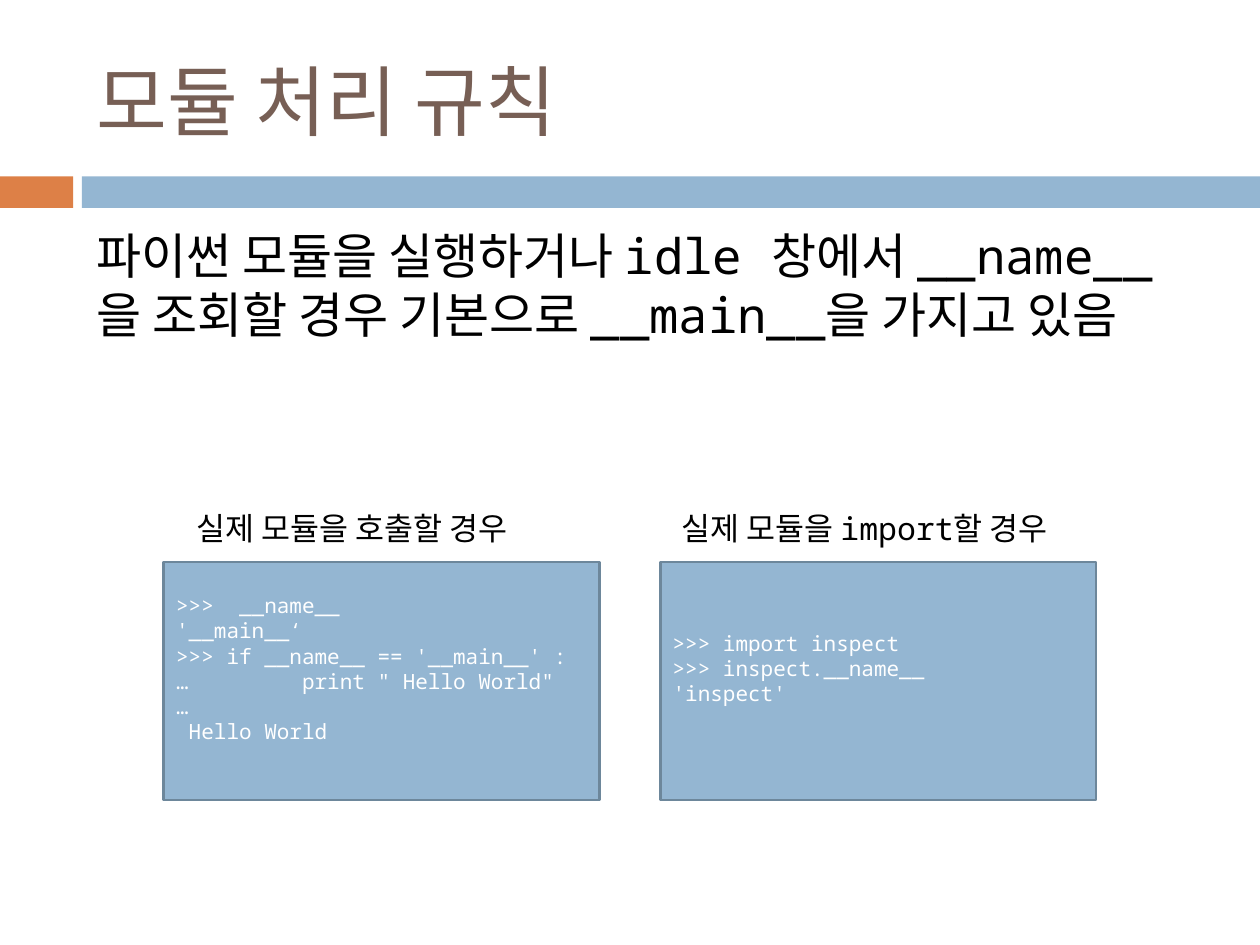
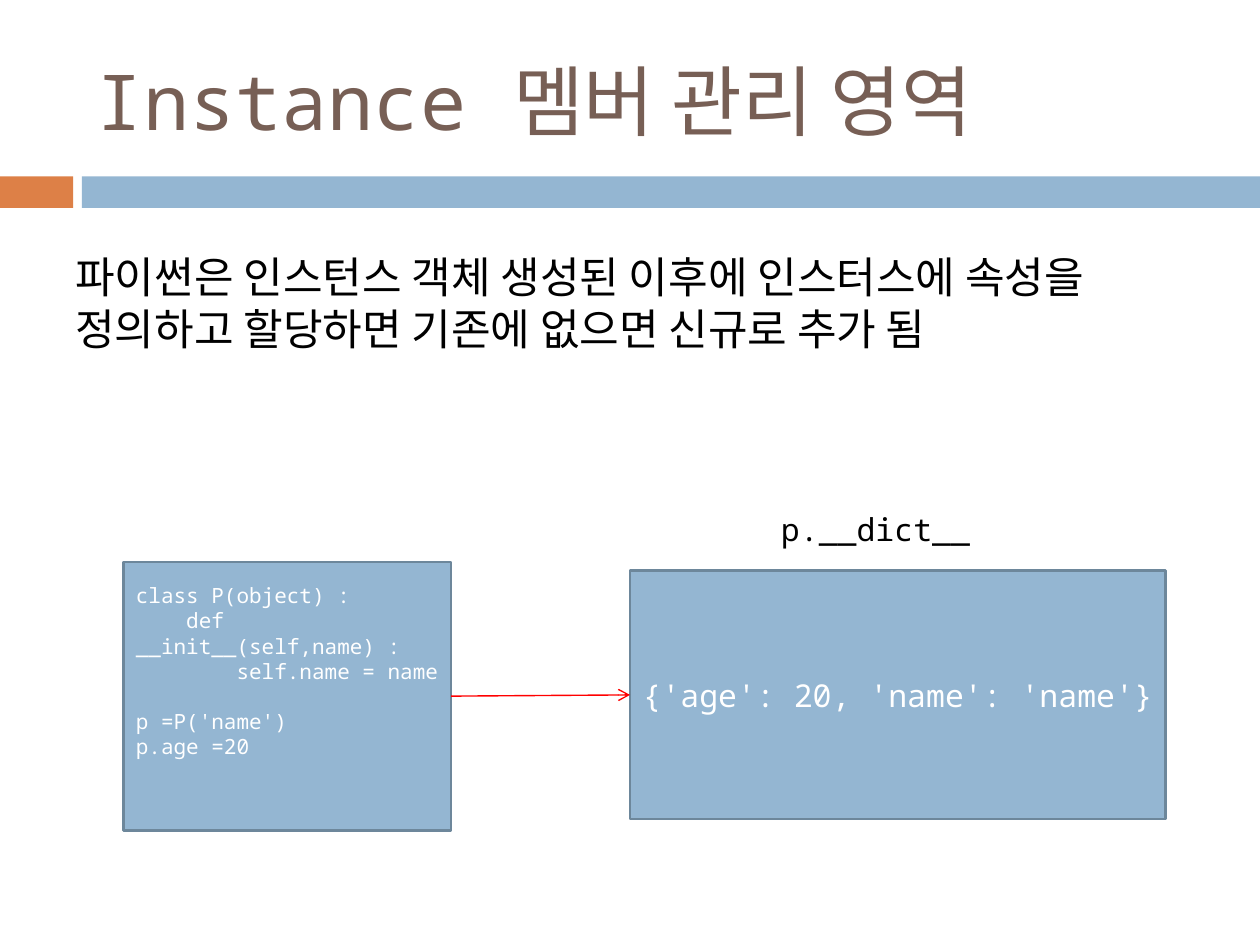
import pptx
import pptx.util
import pptx.dml.color
import pptx.enum.shapes
import pptx.enum.text
import pptx.oxml
import pptx.oxml.ns
from dataclasses import dataclass

Inches = pptx.util.Inches
Pt = pptx.util.Pt
ANCHOR = pptx.enum.text.MSO_ANCHOR
ALIGN = pptx.enum.text.PP_ALIGN


@dataclass(frozen=True)
class Theme:
    font: str = "Noto Sans Mono"
    accent: str = "DD8047"
    panel: str = "94B6D2"
    panel_edge: str = "6D879B"
    title: str = "775F55"
    text: str = "000000"
    panel_text: str = "FFFFFF"
    arrow: str = "FF0000"
    title_size: float = 44
    lead_size: float = 28
    body_size: float = 24.6
    label_size: float = 18
    code_size: float = 12
    code_line: float = 0.2  # height of one code line, inches


def rgb(value):
    return pptx.dml.color.RGBColor.from_string(value)


class Deck:
    def __init__(self, theme):
        self.theme = theme
        self.presentation = pptx.Presentation()
        self.presentation.slide_width = Inches(10)
        self.presentation.slide_height = Inches(7.5)
        self.slide = None

    def new_slide(self, title):
        layout = self.presentation.slide_layouts[6]
        self.slide = self.presentation.slides.add_slide(layout)
        # Two-part band under the title
        self.rectangle(0, 1.4, 0.58, 0.25, self.theme.accent)
        self.rectangle(0.65, 1.4, 9.35, 0.25, self.theme.panel)
        self.text(0.67, 0.25, 8.92, 1.08, title, self.theme.title_size,
                  self.theme.title, ANCHOR.MIDDLE)

    def rectangle(self, left, top, width, height, fill, edge=None):
        shape = self.slide.shapes.add_shape(
            pptx.enum.shapes.MSO_SHAPE.RECTANGLE,
            Inches(left), Inches(top), Inches(width), Inches(height))
        shape.shadow.inherit = False
        shape.fill.solid()
        shape.fill.fore_color.rgb = rgb(fill)
        if edge:
            shape.line.color.rgb = rgb(edge)
            shape.line.width = Pt(1.5)
        else:
            shape.line.fill.background()
        return shape

    def set_text(self, shape, content, size, color, anchor, align=ALIGN.LEFT):
        frame = shape.text_frame
        frame.word_wrap = True
        frame.vertical_anchor = anchor
        frame.text = content
        for paragraph in frame.paragraphs:
            paragraph.alignment = align
            for run in paragraph.runs:
                run.font.name = self.theme.font
                run.font.size = Pt(size)
                run.font.color.rgb = rgb(color)
        return frame

    def text(self, left, top, width, height, content, size, color=None,
             anchor=ANCHOR.TOP):
        box = self.slide.shapes.add_textbox(
            Inches(left), Inches(top), Inches(width), Inches(height))
        return self.set_text(box, content, size, color or self.theme.text,
                             anchor)

    def label(self, left, top, width, content):
        self.text(left, top, width, 0.4, content, self.theme.label_size)

    def panel(self, left, top, width, height, content, size, align=ALIGN.LEFT,
              lines_below=0):
        shape = self.rectangle(left, top, width, height, self.theme.panel,
                               self.theme.panel_edge)
        frame = self.set_text(shape, content, size, self.theme.panel_text,
                              ANCHOR.MIDDLE, align)
        # Room kept free under the code
        frame.margin_bottom = Inches(0.05 + lines_below * self.theme.code_line)
        return shape, frame

    def arrow(self, start, end):
        # Right side of one panel to the left side of the next
        connector = self.slide.shapes.add_connector(
            pptx.enum.shapes.MSO_CONNECTOR.STRAIGHT, 0, 0, 0, 0)
        connector.begin_connect(start, 3)
        connector.end_connect(end, 1)
        connector.line.color.rgb = rgb(self.theme.arrow)
        connector.line.width = Pt(0.79)
        namespace = pptx.oxml.ns.nsdecls("a")
        properties = connector._element.spPr
        properties.find(pptx.oxml.ns.qn("a:ln")).append(
            pptx.oxml.parse_xml(f'<a:tailEnd {namespace} type="arrow"/>'))
        properties.append(pptx.oxml.parse_xml(f"<a:effectLst {namespace}/>"))


theme = Theme()
deck = Deck(theme)

# Slide 1: module name rules
deck.new_slide("모듈 처리 규칙")
deck.text(0.67, 1.74, 8.74, 1.51,
          "파이썬 모듈을 실행하거나 idle 창에서 __name__을 조회할 경우 "
          "기본으로 __main__을 가지고 있음", theme.lead_size)

call_code = "\n".join([
    ">>>  __name__",
    "'__main__‘",
    ">>> if __name__ == '__main__' :",
    "…         print \" Hello World\"",
    "…",
    " Hello World",
])
import_code = "\n".join([
    ">>> import inspect",
    ">>> inspect.__name__",
    "'inspect'",
])
for left, code in ((1.3, call_code), (5.24, import_code)):
    deck.panel(left, 4.46, 3.46, 1.89, code, theme.code_size, lines_below=1)
deck.label(1.46, 3.99, 3.07, "실제 모듈을 호출할 경우")
deck.label(5.31, 3.99, 3.27, "실제 모듈을 import할 경우")

# Slide 2: instance members
deck.new_slide("Instance 멤버 관리 영역")
body = deck.text(0.5, 1.94, 9, 1.02,
                 "파이썬은 인스턴스 객체 생성된 이후에 인스터스에 속성을 "
                 "정의하고 할당하면 기존에 없으면 신규로 추가 됨",
                 theme.body_size)
body.paragraphs[0].space_before = Pt(7)

class_code = "\n".join([
    "class P(object) :",
    "    def __init__(self,name) :",
    "        self.name = name",
    "p =P('name')",
    "p.age =20",
])
class_panel, class_frame = deck.panel(0.98, 4.46, 2.6, 2.13, class_code,
                                      theme.code_size, lines_below=2)
class_frame.paragraphs[3].space_before = Inches(theme.code_line)
members_panel, _ = deck.panel(5, 4.53, 4.25, 1.97,
                              "{'age': 20, 'name': 'name'}",
                              theme.label_size, ALIGN.CENTER)
deck.label(6.1, 4, 2.44, "p.__dict__")
deck.arrow(class_panel, members_panel)

deck.presentation.save("out.pptx")
